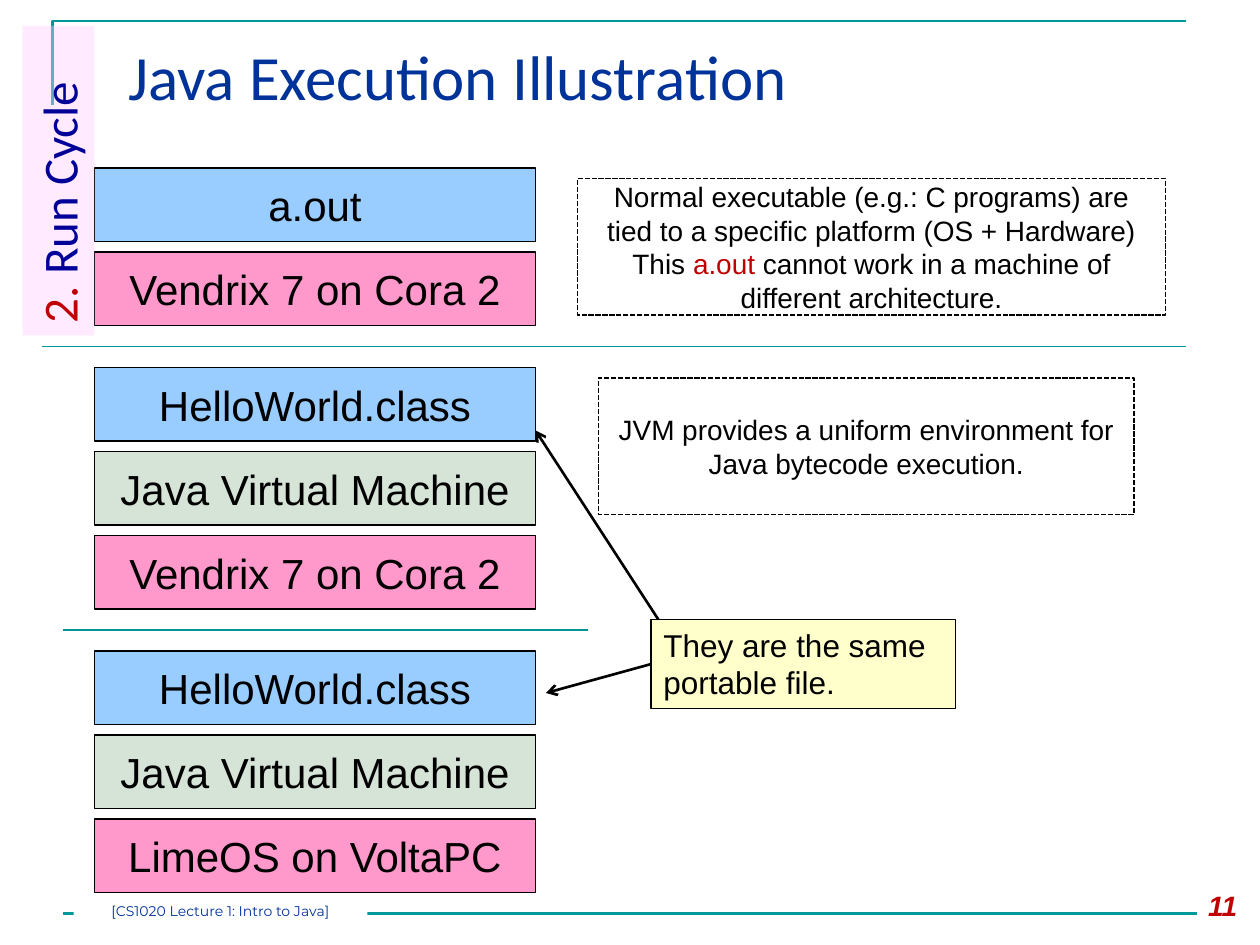
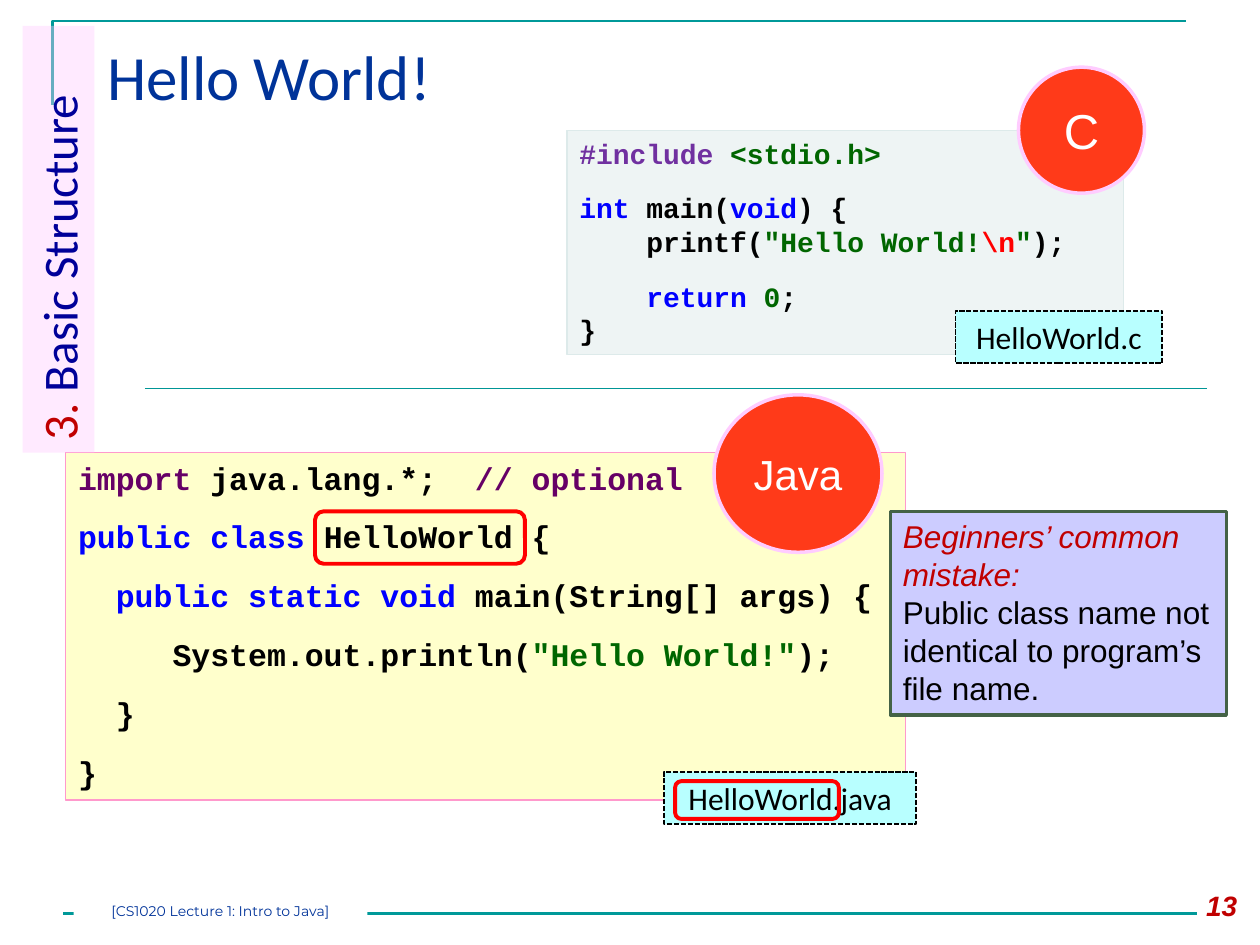
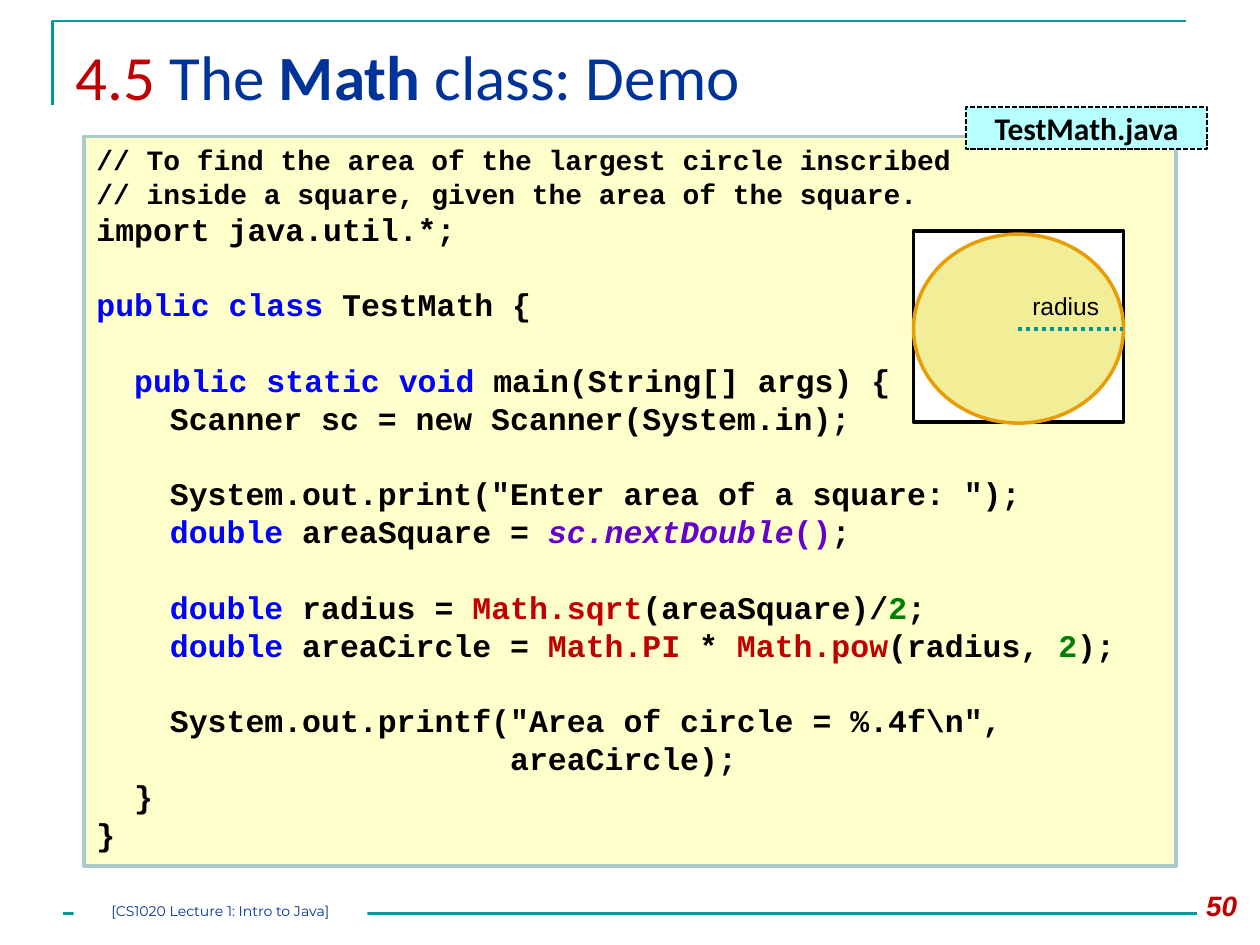
from typing import NamedTuple, Optional, Sequence

import pptx
import pptx.dml.color
import pptx.enum.dml
import pptx.enum.shapes
import pptx.enum.text
import pptx.oxml
import pptx.oxml.ns
import pptx.util

RGB = pptx.dml.color.RGBColor
Align = pptx.enum.text.PP_ALIGN
Anchor = pptx.enum.text.MSO_ANCHOR
Dash = pptx.enum.dml.MSO_LINE
Kind = pptx.enum.shapes.MSO_SHAPE

# The slide is a grid of square cells, twelve to the inch.
COLUMNS, ROWS = 120, 90
CELL = pptx.util.Inches(1) // 12

BLACK = RGB(0x00, 0x00, 0x00)
WHITE = RGB(0xFF, 0xFF, 0xFF)
TEAL = RGB(0x00, 0x99, 0x99)
DIVIDER = RGB(0x00, 0x96, 0x96)
NAVY = RGB(0x00, 0x33, 0x99)
INDIGO = RGB(0x00, 0x00, 0x99)
CRIMSON = RGB(0xC0, 0x00, 0x00)
RED = RGB(0xFF, 0x00, 0x00)
TAB_PINK = RGB(0xFF, 0xCC, 0xFF)
PLATFORM = RGB(0xFF, 0x99, 0xCC)
PROGRAM = RGB(0x99, 0xCC, 0xFF)
MACHINE = RGB(0xD6, 0xE3, 0xD7)
CREAM = RGB(0xFF, 0xFF, 0xCC)
CYAN = RGB(0xB8, 0xFF, 0xFF)
ORANGE = RGB(0xFF, 0x3A, 0x19)
MIST = RGB(0xEE, 0xF4, 0xF4)
MIST_EDGE = RGB(0xDD, 0xEA, 0xEA)
LAVENDER = RGB(0xCC, 0xCC, 0xFF)
FOREST = RGB(0x44, 0x62, 0x46)
SEA = RGB(0xAA, 0xCA, 0xCA)
SAND = RGB(0xF2, 0xEE, 0x98)
AMBER = RGB(0xE8, 0x9D, 0x06)
KEYWORD = RGB(0x00, 0x00, 0xFF)
STRING = RGB(0x00, 0x66, 0x00)
NUMBER = RGB(0x00, 0x80, 0x00)
IMPORT = RGB(0x66, 0x00, 0x66)
INCLUDE = RGB(0x70, 0x30, 0xA0)
CALL = RGB(0x66, 0x00, 0xCC)

BODY, HEADING, CODE, FOOTER = "Arial", "Calibri", "Courier New", "Montserrat"


class Area(NamedTuple):
    left: float
    top: float
    width: float
    height: float


class Span(NamedTuple):
    text: str
    color: Optional[RGB] = None
    bold: Optional[bool] = None
    italic: Optional[bool] = None


class Line(NamedTuple):
    """A paragraph, with the gap above it in points."""
    spans: Sequence[Span]
    gap: float = 0
    size: Optional[float] = None


class Layer(NamedTuple):
    text: str
    fill: RGB


class Stack(NamedTuple):
    top: float
    layers: Sequence[Layer]


def line(*spans, gap: float = 0, size: Optional[float] = None) -> Line:
    """Make a Line from strings and (text, color, bold, italic) tuples."""
    return Line([Span(s) if isinstance(s, str) else Span(*s) for s in spans], gap, size)


def cells(count: float) -> int:
    return round(count * CELL)


def emus(area: Area) -> list[int]:
    return [cells(value) for value in area]


def write(box, lines: Sequence[Line], *, font: str = BODY, size: float = 18,
          color: RGB = BLACK, bold: bool = False, italic: bool = False,
          align=Align.LEFT, anchor=Anchor.TOP, wrap: bool = True,
          inset: Optional[int] = None, tabs: Sequence[float] = ()) -> None:
    frame = box.text_frame
    frame.word_wrap = wrap
    frame.vertical_anchor = anchor
    frame.auto_size = pptx.enum.text.MSO_AUTO_SIZE.NONE
    if inset is not None:
        frame.margin_left = frame.margin_right = inset
        frame.margin_top = frame.margin_bottom = inset
    for index, item in enumerate(lines):
        para = frame.add_paragraph() if index else frame.paragraphs[0]
        if tabs:
            add_tab_stops(para, tabs)
        para.alignment = align
        if item.gap:
            para.space_before = pptx.util.Pt(item.gap)
        for span in item.spans:
            run = para.add_run()
            run.text = span.text
            run.font.name = font
            run.font.size = pptx.util.Pt(item.size or size)
            run.font.bold = bold if span.bold is None else span.bold
            run.font.italic = italic if span.italic is None else span.italic
            run.font.color.rgb = span.color or color


def add_tab_stops(para, stops: Sequence[float]) -> None:
    tab_list = pptx.oxml.parse_xml(f'<a:tabLst {pptx.oxml.ns.nsdecls("a")}/>')
    for stop in stops:
        tab = tab_list.makeelement(pptx.oxml.ns.qn("a:tab"),
                                   {"pos": str(cells(stop)), "algn": "l"})
        tab_list.append(tab)
    para._p.get_or_add_pPr().append(tab_list)


def paint(shape, fill: Optional[RGB], edge: Optional[RGB], weight: float, dash=None) -> None:
    shape.shadow.inherit = False
    if fill is None:
        shape.fill.background()
    else:
        shape.fill.solid()
        shape.fill.fore_color.rgb = fill
    if edge is None:
        shape.line.fill.background()
        return
    shape.line.color.rgb = edge
    shape.line.width = pptx.util.Pt(weight)
    if dash is not None:
        shape.line.dash_style = dash


def add_box(slide, area: Area, fill: Optional[RGB] = None, edge: Optional[RGB] = BLACK,
            weight: float = 0.75, dash=None, kind=Kind.RECTANGLE):
    box = slide.shapes.add_shape(kind, *emus(area))
    paint(box, fill, edge, weight, dash)
    return box


def add_rule(slide, start: tuple, end: tuple, color: RGB = DIVIDER,
             weight: float = 0.75, dash=None, arrow: bool = False):
    rule = slide.shapes.add_connector(
        pptx.enum.shapes.MSO_CONNECTOR.STRAIGHT, *(cells(v) for v in (*start, *end)))
    rule.line.color.rgb = color
    rule.line.width = pptx.util.Pt(weight)
    if dash is not None:
        rule.line.dash_style = dash
    namespace = pptx.oxml.ns.nsdecls("a")
    if arrow:
        rule.line._get_or_add_ln().append(
            pptx.oxml.parse_xml(f'<a:tailEnd {namespace} type="arrow"/>'))
    rule._element.spPr.append(pptx.oxml.parse_xml(f"<a:effectLst {namespace}/>"))
    return rule


def add_slide(deck, title: Line, title_left: float):
    """Add a slide with the corner frame, footer rule and title."""
    slide = deck.slides.add_slide(deck.slide_layouts[5])
    builder = slide.shapes.build_freeform(5, 10, scale=CELL)
    builder.add_line_segments([(5, 2), (113, 2)], close=False)
    paint(builder.convert_to_shape(), None, TEAL, 1.5)
    add_rule(slide, (6, 87), (114, 87), TEAL, 1.5)
    box = slide.shapes.title
    box.left, box.top, box.width, box.height = emus(
        Area(title_left, 3, 114 - title_left, 10.3))
    write(box, [title], font=HEADING, size=36, color=NAVY)
    return slide


def add_footer(slide, number: int) -> None:
    box = slide.shapes.add_textbox(*emus(Area(111, 84, 8, 4.8)))
    write(box, [line(str(number))], size=16, color=CRIMSON, bold=True, italic=True,
          align=Align.RIGHT)
    label = add_box(slide, Area(7, 86, 28, 2), WHITE, None)
    write(label, [line("[CS1020 Lecture 1: Intro to Java]")], font=FOOTER, size=8,
          color=NAVY, align=Align.CENTER, inset=0)


def add_section_tab(slide, number: str, name: str, length: float) -> None:
    """Add the translucent tab that reads upwards along the left edge."""
    thickness, middle, top = 6.84, 5.57, 2.45
    tab = add_box(slide, Area(middle - length / 2, top + (length - thickness) / 2,
                              length, thickness), TAB_PINK, None)
    tab.rotation = 270
    color = tab._element.spPr.find(".//" + pptx.oxml.ns.qn("a:srgbClr"))
    color.append(color.makeelement(pptx.oxml.ns.qn("a:alpha"), {"val": "40000"}))
    write(tab, [line((number, CRIMSON), f" {name}")], font=HEADING, size=28, color=INDIGO)


def add_file_label(slide, area: Area, name: str, bold: bool = False) -> None:
    label = add_box(slide, area, CYAN, weight=1, dash=Dash.SQUARE_DOT)
    write(label, [line(name)], font=HEADING, bold=bold,
          align=Align.CENTER, anchor=Anchor.MIDDLE)


def add_language_badge(slide, area: Area, name: str, size: float) -> None:
    badge = add_box(slide, area, ORANGE, TAB_PINK, 2, kind=Kind.OVAL)
    write(badge, [line(name)], size=size, color=WHITE,
          align=Align.CENTER, anchor=Anchor.MIDDLE)


def add_highlight(slide, area: Area) -> None:
    add_box(slide, area, None, RED, 2.25, kind=Kind.ROUNDED_RECTANGLE)


def add_note(slide, area: Area, lines: Sequence[Line]) -> None:
    note = add_box(slide, area, WHITE, weight=1, dash=Dash.SQUARE_DOT)
    write(note, lines, size=16, align=Align.CENTER, anchor=Anchor.MIDDLE)


def add_stack(slide, stack: Stack) -> None:
    for index, layer in enumerate(stack.layers):
        box = add_box(slide, Area(9, stack.top + 8 * index, 42, 7), layer.fill)
        write(box, [line(layer.text)], size=24, wrap=False,
              align=Align.CENTER, anchor=Anchor.MIDDLE)


def build_execution(deck) -> None:
    slide = add_slide(deck, line("Java Execution Illustration"), 11)
    desktop = Layer("Vendrix 7 on Cora 2", PLATFORM)
    bytecode = Layer("HelloWorld.class", PROGRAM)
    machine = Layer("Java Virtual Machine", MACHINE)
    for stack in (
        Stack(16, [Layer("a.out", PROGRAM), desktop]),
        Stack(35, [bytecode, machine, desktop]),
        Stack(62, [bytecode, machine, Layer("LimeOS on VoltaPC", PLATFORM)]),
    ):
        add_stack(slide, stack)
    add_note(slide, Area(55, 17, 56, 13), [
        line("Normal executable (e.g.: C programs) are tied to a specific platform "
             "(OS + Hardware)"),
        line("This ", ("a.out", CRIMSON),
             " cannot work in a machine of different architecture."),
    ])
    add_note(slide, Area(57, 36, 51, 13), [
        line("JVM provides a uniform environment for Java bytecode execution.")])
    add_rule(slide, (4, 33), (113, 33))
    add_rule(slide, (6, 60), (56, 60))
    callout = add_box(slide, Area(62, 59, 29, 8.5), CREAM)
    write(callout, [line("They are the same portable file.")])
    add_rule(slide, (62.7, 59), (51, 41), BLACK, 1.5, arrow=True)
    lower_arrow = add_rule(slide, (62, 63.25), (52, 66), BLACK, 1.5, arrow=True)
    lower_arrow.begin_connect(callout, 1)
    add_section_tab(slide, "2.", "Run Cycle", 29.5)
    add_footer(slide, 11)


def build_hello_world(deck) -> None:
    slide = add_slide(deck, line("Hello World!"), 9)
    gap = 12
    java_code = add_box(slide, Area(6.25, 43.1, 80, 33.1), CREAM, PLATFORM)
    write(java_code, [
        line(("import ", IMPORT), "java.lang.*;  ", ("// optional", IMPORT)),
        line(("public class ", KEYWORD), "HelloWorld {", gap=gap),
        line("  ", ("public static void ", KEYWORD), "main(String[] args) {", gap=gap),
        line("     System.out.println(", ('"Hello World!"', STRING), ");", gap=gap),
        line("  }", gap=gap),
        line("}", gap=gap),
    ], font=CODE, bold=True)
    add_file_label(slide, Area(63.25, 73.5, 24, 5), "HelloWorld.java")
    add_language_badge(slide, Area(68, 37.6, 16, 15), "Java", 24)
    add_rule(slide, (13.8, 37), (115, 37))
    add_highlight(slide, Area(30, 48.7, 20, 5))
    add_highlight(slide, Area(64.3, 74.4, 15.6, 3.6))
    add_section_tab(slide, "3.", "Basic Structure", 40.65)

    c_code = add_box(slide, Area(54, 12.4, 53, 21.4), MIST, MIST_EDGE)
    write(c_code, [
        line(("#include ", INCLUDE), ("<stdio.h>", STRING)),
        line(("int", KEYWORD), " main(", ("void", KEYWORD), ") {", gap=gap),
        line("    printf(", ('"Hello World!', STRING), ("\\n", RED), ('"', STRING), ");"),
        line("    ", ("return ", KEYWORD), ("0", STRING), ";", gap=gap),
        line("}"),
    ], font=CODE, size=16, bold=True)
    add_file_label(slide, Area(91, 29.6, 19.7, 5), "HelloWorld.c")
    add_language_badge(slide, Area(97, 6.4, 12, 12), "C", 28)
    mistake = add_box(slide, Area(84.8, 48.7, 32, 19.4), LAVENDER, FOREST, 2)
    write(mistake, [
        line(("Beginners’ common mistake:", CRIMSON, None, True)),
        line("Public class name not identical to program’s file name."),
    ])
    add_footer(slide, 13)


def build_math_demo(deck) -> None:
    title = line(("4.5 ", CRIMSON), "The ", ("Math", NAVY, True), " class: Demo")
    slide = add_slide(deck, title, 6)
    gap = 21.6
    double = ("double", KEYWORD)
    code = add_box(slide, Area(8, 13, 104, 69.5), CREAM, SEA, 2)
    write(code, [
        line("// To find the area of the largest circle inscribed", size=16),
        line("// inside a square, given the area of the square.", size=16),
        line("import java.util.*;"),
        line(("public class ", KEYWORD), "TestMath {", gap=gap),
        line("\t", ("public static void ", KEYWORD), "main(String[] args) {", gap=gap),
        line("\t\tScanner sc = new Scanner(System.in);"),
        line('\t\tSystem.out.print("Enter area of a square: ");', gap=gap),
        line("\t\t", double, " areaSquare = ", ("sc.nextDouble", CALL, None, True),
             ("()", CALL), ";"),
        line("\t\t", double, " radius = ", ("Math.sqrt", CRIMSON), "(areaSquare)/",
             ("2", NUMBER), ";", gap=gap),
        line("\t\t", double, " areaCircle = ", ("Math.PI", CRIMSON), " * ",
             ("Math.pow", CRIMSON), "(radius, ", ("2", NUMBER), ");"),
        line('\t\tSystem.out.printf("Area of circle = %.4f\\n",', gap=gap),
        line("\t\t                  areaCircle);"),
        line("\t}"),
        line("}"),
    ], font=CODE, bold=True, tabs=(3.6, 7))
    add_file_label(slide, Area(92, 10.2, 23, 4), "TestMath.java", bold=True)
    add_box(slide, Area(87, 22, 20, 18.2), WHITE, BLACK, 2)
    add_box(slide, Area(87, 22.3, 20, 18), SAND, AMBER, 2, kind=Kind.OVAL)
    add_rule(slide, (97, 31.3), (107, 31.3), DIVIDER, 2.25, Dash.ROUND_DOT)
    radius = slide.shapes.add_textbox(*emus(Area(96, 27.1, 11, 4.1)))
    write(radius, [line("radius")], size=14, align=Align.CENTER)
    add_footer(slide, 50)


def main() -> None:
    deck = pptx.Presentation()
    deck.slide_width, deck.slide_height = cells(COLUMNS), cells(ROWS)
    build_execution(deck)
    build_hello_world(deck)
    build_math_demo(deck)
    deck.save("out.pptx")


if __name__ == "__main__":
    main()
